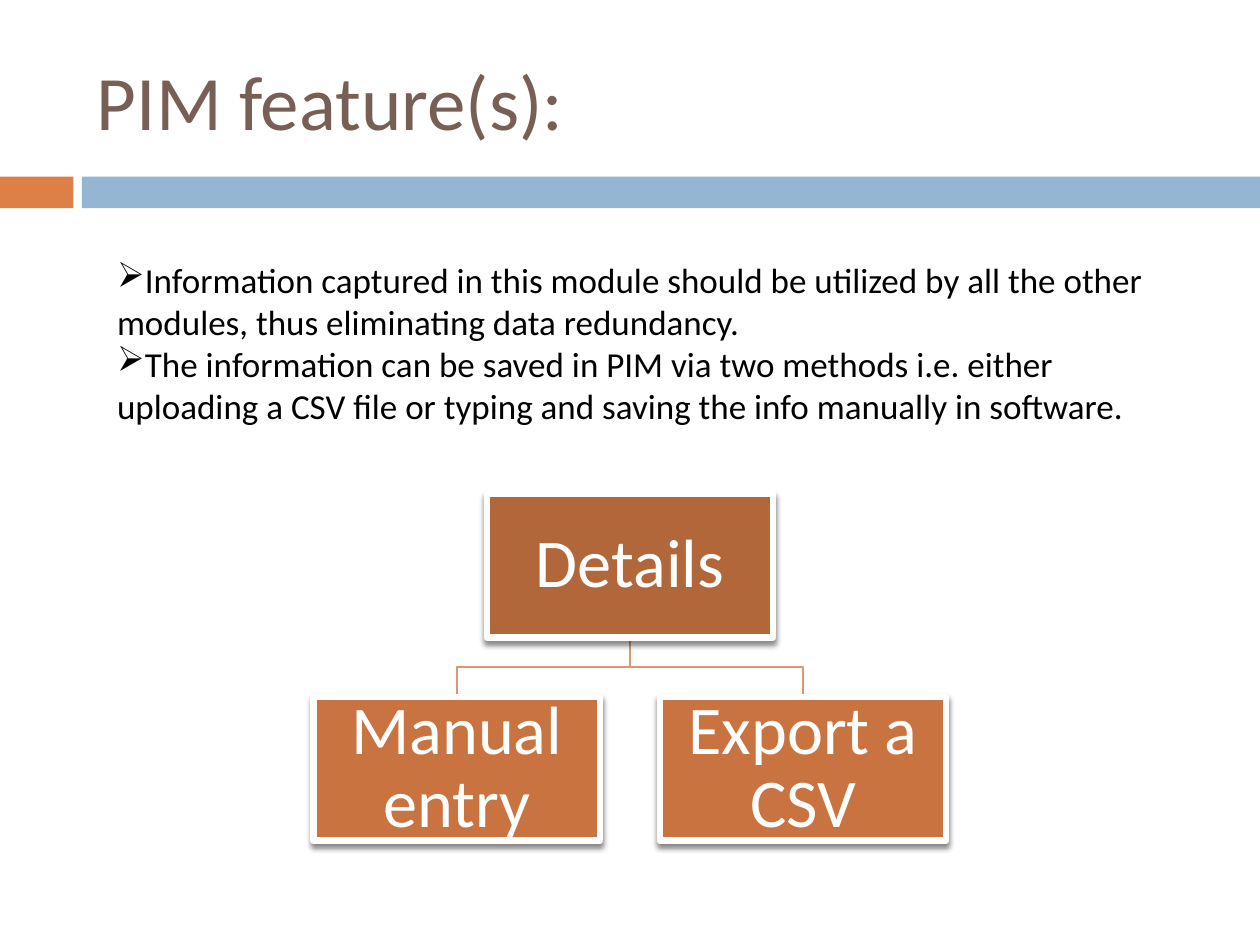
"""Builds the PIM features slide with its bullets and details tree."""
from lxml import etree
from pptx import Presentation
from pptx import util as u
from pptx.dml.color import RGBColor
from pptx.enum import shapes, text
from pptx.oxml import parse_xml
from pptx.oxml.ns import nsdecls, qn

ORANGE = RGBColor(0xDD, 0x80, 0x47)
BLUE = RGBColor(0x94, 0xB6, 0xD2)
BROWN = RGBColor(0x77, 0x5F, 0x55)
PARENT = RGBColor(0xB1, 0x67, 0x39)
CHILD = RGBColor(0xC9, 0x74, 0x40)
BRANCH = RGBColor(0xE1, 0x94, 0x6F)
WHITE = RGBColor(0xFF, 0xFF, 0xFF)
BLACK = RGBColor(0x00, 0x00, 0x00)

BOX_WIDTH, BOX_HEIGHT = 5.77, 2.9
CENTER, CHILD_OFFSET = 12.7, 3.49
PARENT_TOP, CHILD_TOP = 9.95, 14.05

BULLETS = [
    "Information captured in this module should be utilized by all the other "
    "modules, thus eliminating data redundancy.",
    "The information can be saved in PIM via two methods i.e. either "
    "uploading a CSV file or typing and saving the info manually in software.",
]

SHADOW = (
    f'<a:effectLst {nsdecls("a")}><a:outerShdw blurRad="{u.Pt(3)}" dist="{u.Pt(2.4)}" '
    'dir="5400000" rotWithShape="0"><a:srgbClr val="000000"><a:alpha val="45000"/>'
    "</a:srgbClr></a:outerShdw></a:effectLst>"
)


def apply(target, formats):
    for name, value in formats.items():
        setattr(target, name, value)


class Painter:
    """Holds the text style and the current page."""

    def __init__(self, page, font="Calibri"):
        self.page = page
        self.font = font

    def add_words(self, para, words, size, color, **formats):
        span = para.add_run()
        span.text = words
        apply(span.font, {"name": self.font, "size": u.Pt(size)})
        span.font.color.rgb = color
        apply(para, formats)

    def title(self, words, left, top, width, height):
        title = self.page.shapes.title
        apply(title, {"left": u.Cm(left), "top": u.Cm(top),
                      "width": u.Cm(width), "height": u.Cm(height)})
        title.text_frame.vertical_anchor = text.MSO_ANCHOR.MIDDLE
        self.add_words(title.text_frame.paragraphs[0], words, 44, BROWN,
                       alignment=text.PP_ALIGN.LEFT)

    def bar(self, left, top, width, height, color):
        bar = self.page.shapes.add_shape(
            shapes.MSO_SHAPE.RECTANGLE, u.Cm(left), u.Cm(top), u.Cm(width), u.Cm(height))
        bar.shadow.inherit = False
        bar.fill.solid()
        bar.fill.fore_color.rgb = color
        bar.line.fill.background()
        return bar

    def box(self, words, center, top, color):
        box = self.bar(center - BOX_WIDTH / 2, top, BOX_WIDTH, BOX_HEIGHT, color)
        box.line.color.rgb = WHITE
        box.line.width = u.Pt(3.75)
        properties = box.element.spPr
        properties.replace(properties.find(qn("a:effectLst")), parse_xml(SHADOW))
        sides = ("left", "top", "right", "bottom")
        apply(box.text_frame, {f"margin_{side}": u.Cm(0.08) for side in sides})
        apply(box.text_frame, {"word_wrap": True,
                               "vertical_anchor": text.MSO_ANCHOR.MIDDLE})
        self.add_words(box.text_frame.paragraphs[0], words, 39, WHITE,
                       alignment=text.PP_ALIGN.CENTER, line_spacing=0.9)

    def branch(self, start, end):
        (x, top), (end_x, bottom) = start, end
        middle = (top + bottom) / 2
        builder = self.page.shapes.build_freeform(u.Cm(x), u.Cm(top))
        corners = [(x, middle), (end_x, middle), (end_x, bottom)]
        builder.add_line_segments([(u.Cm(a), u.Cm(b)) for a, b in corners], close=False)
        branch = builder.convert_to_shape()
        branch.shadow.inherit = False
        branch.fill.background()
        branch.line.color.rgb = BRANCH
        branch.line.width = u.Pt(1.5)

    def bullets(self, items, left, top, width, height):
        frame = self.page.shapes.add_textbox(
            u.Cm(left), u.Cm(top), u.Cm(width), u.Cm(height)).text_frame
        frame.word_wrap = True
        for index, item in enumerate(items):
            para = frame.add_paragraph() if index else frame.paragraphs[0]
            self.add_words(para, item, 20, BLACK)
            bullet = etree.SubElement(para._p.get_or_add_pPr(), qn("a:buChar"))
            bullet.set("char", "➢")


def main():
    deck = Presentation()
    deck.slide_width, deck.slide_height = u.Cm(25.4), u.Cm(19.05)
    painter = Painter(deck.slides.add_slide(deck.slide_layouts[5]))

    painter.bar(0, 3.56, 1.48, 0.64, ORANGE)
    painter.bar(1.65, 3.56, 23.75, 0.64, BLUE)
    painter.title("PIM feature(s):", 1.7, 0.64, 22.66, 2.74)
    painter.bullets(BULLETS, 2.11, 5.08, 21.8, 3.68)

    children = {"Manual entry": CENTER - CHILD_OFFSET,
                "Export a CSV": CENTER + CHILD_OFFSET}
    for center in children.values():
        painter.branch((CENTER, PARENT_TOP + BOX_HEIGHT), (center, CHILD_TOP))
    painter.box("Details", CENTER, PARENT_TOP, PARENT)
    for words, center in children.items():
        painter.box(words, center, CHILD_TOP, CHILD)

    deck.save("out.pptx")


if __name__ == "__main__":
    main()
